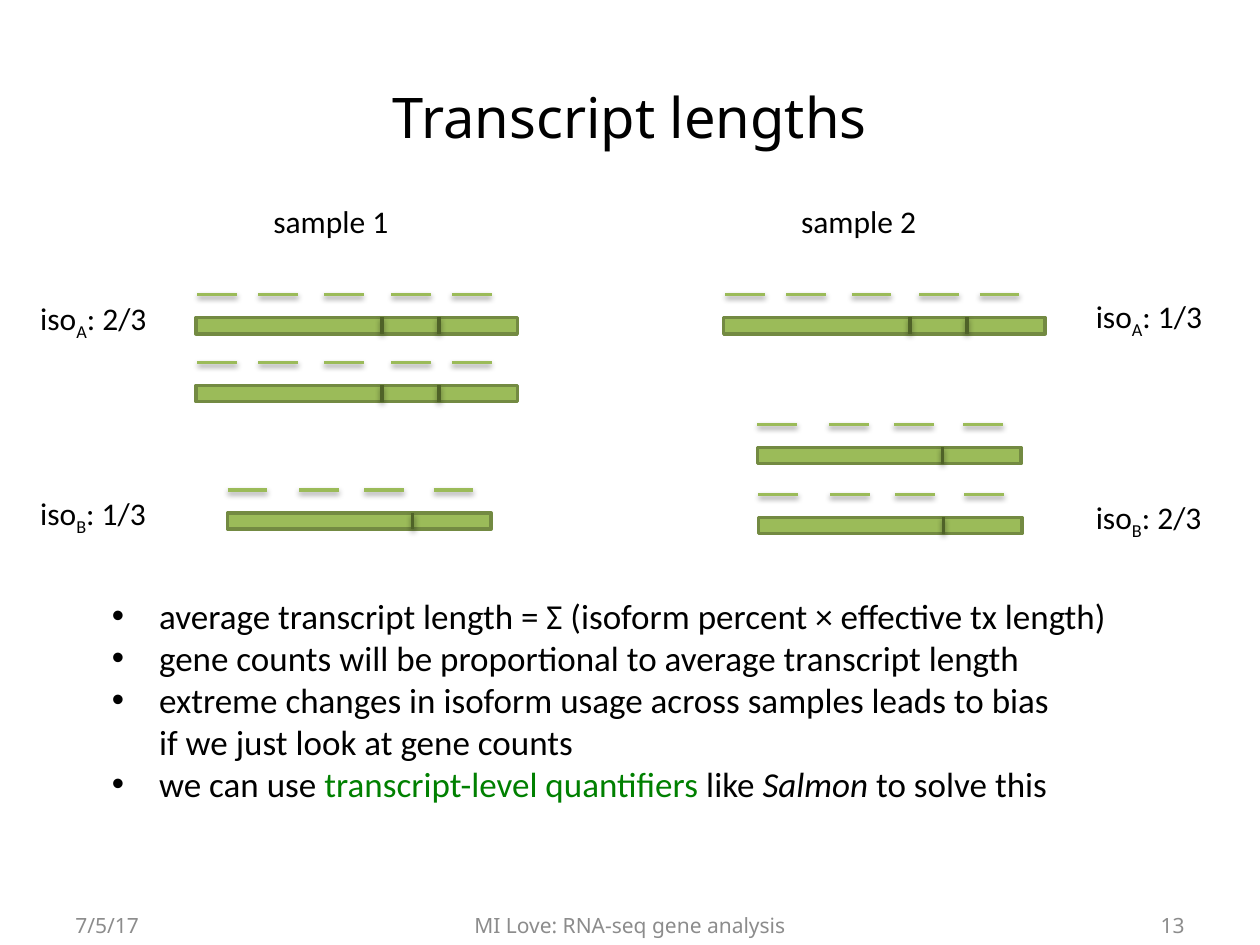
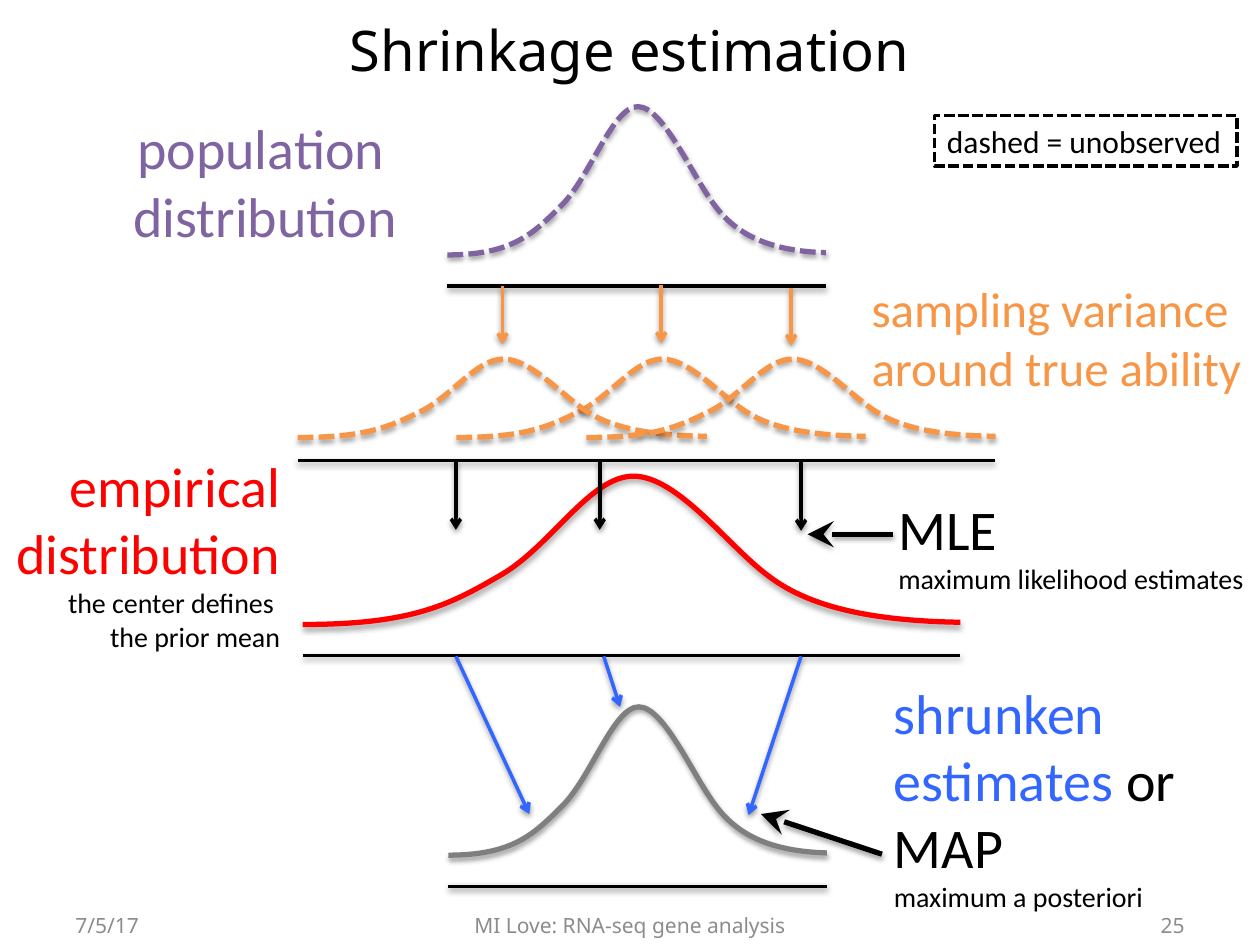
import copy

import pptx
import pptx.dml.color
import pptx.enum.dml
import pptx.enum.shapes
import pptx.enum.text
import pptx.oxml.ns
import pptx.util
from lxml import etree

Cm = pptx.util.Cm
Pt = pptx.util.Pt
RGBColor = pptx.dml.color.RGBColor
ALIGN = pptx.enum.text.PP_ALIGN
ANCHOR = pptx.enum.text.MSO_ANCHOR
AUTO_SIZE = pptx.enum.text.MSO_AUTO_SIZE
DASHED = pptx.enum.dml.MSO_LINE.SQUARE_DOT
qn = pptx.oxml.ns.qn

BLACK = RGBColor(0x00, 0x00, 0x00)
WHITE = RGBColor(0xFF, 0xFF, 0xFF)
GREY = RGBColor(0x8C, 0x8C, 0x8C)
CURVE_GREY = RGBColor(0x7F, 0x7F, 0x7F)
EXON_GREEN = RGBColor(0x9B, 0xBB, 0x59)
EXON_EDGE = RGBColor(0x73, 0x8A, 0x42)
JUNCTION_GREEN = RGBColor(0x4F, 0x62, 0x28)
TEXT_GREEN = RGBColor(0x00, 0x80, 0x00)
PURPLE = RGBColor(0x80, 0x64, 0xA2)
ORANGE = RGBColor(0xF7, 0x96, 0x46)
RED = RGBColor(0xFF, 0x00, 0x00)
BLUE = RGBColor(0x33, 0x66, 0xFF)

TITLE_FORMAT = {"name": "Noto Sans", "size": Pt(32), "rgb": BLACK}
FOOTER_FORMAT = {"name": "Noto Sans", "size": Pt(12), "rgb": GREY}
LABEL_FORMAT = {"name": "Calibri", "size": Pt(18), "rgb": BLACK}
LIST_FORMAT = LABEL_FORMAT | {"size": Pt(20)}
HEADING_FORMAT = LABEL_FORMAT | {"size": Pt(32)}
SMALL = {"size": Pt(16), "rgb": BLACK}

# Isoforms in cm: bar width, exon junctions and left ends of the reads
ISOFORM_A = (6.48, (3.75, 4.9), (0.03, 1.26, 2.58, 3.94, 5.16))
ISOFORM_B = (5.31, (3.73,), (0, 1.44, 2.75, 4.15))
BAR_HEIGHT, READ_LENGTH, READ_GAP = 0.33, 0.8, 0.46

# Bezier control points of a bell curve, in percent of its box
BELL = [(0, 100), (17, 100), (22.6, 86), (30.2, 66.5), (37.8, 47), (43.7, 0),
        (50.3, 0), (57, 0), (64.6, 46.5), (70.6, 66.5), (76.5, 87),
        (85.6, 97.5), (100, 98.5)]
AXIS_GAP = 0.63


def set_format(font, values):
    for name, value in values.items():
        if name == "rgb":
            font.color.rgb = value
        else:
            setattr(font, name, value)


def write_run(paragraph, text, values):
    """Write text in one format; a newline becomes a line break of that format."""
    values = dict(values)
    baseline = values.pop("baseline", None)
    for index, line in enumerate(text.split("\n")):
        if index:
            paragraph.add_line_break()
            line_break = paragraph._p.findall(qn("a:br"))[-1]
            line_break.append(copy.deepcopy(run.font._element))
        if line:
            run = paragraph.add_run()
            run.text = line
            set_format(run.font, values)
            if baseline:
                run.font._element.set("baseline", str(baseline))


def write_text(text_frame, paragraphs, values, alignment=None):
    """Fill a frame; a paragraph is a list of (text, format changes) runs."""
    for index, runs in enumerate(paragraphs):
        paragraph = text_frame.paragraphs[0] if index == 0 else text_frame.add_paragraph()
        paragraph.alignment = alignment
        paragraph.space_before = Pt(0)
        for text, changes in runs:
            write_run(paragraph, text, values | changes)


def add_label(slide, box, paragraphs, values=LABEL_FORMAT, alignment=None, wrap=False):
    label = slide.shapes.add_textbox(*map(Cm, box))
    label.text_frame.word_wrap = wrap
    label.text_frame.auto_size = AUTO_SIZE.SHAPE_TO_FIT_TEXT
    write_text(label.text_frame, paragraphs, values, alignment)
    return label


def add_shadow(shape):
    effects = etree.SubElement(shape.element.spPr, qn("a:effectLst"))
    shadow = etree.SubElement(effects, qn("a:outerShdw"), blurRad="40000",
                              dist="20000", dir="5400000", rotWithShape="0")
    color = etree.SubElement(shadow, qn("a:srgbClr"), val="000000")
    etree.SubElement(color, qn("a:alpha"), val="38000")


def format_line(line, color, width, dash=None):
    line.color.rgb = color
    line.width = Pt(width)
    if dash:
        line.dash_style = dash


def add_line(slide, start, end, color=BLACK, width=2, arrow=None, arrow_size="med"):
    connector = slide.shapes.add_connector(
        pptx.enum.shapes.MSO_CONNECTOR.STRAIGHT, *map(Cm, (*start, *end)))
    format_line(connector.line, color, width)
    if arrow:
        etree.SubElement(connector.element.spPr.find(qn("a:ln")), qn("a:tailEnd"),
                         type=arrow, w=arrow_size, len=arrow_size)
    add_shadow(connector)


def place(shape, box):
    for name, value in zip(("left", "top", "width", "height"), box):
        setattr(shape, name, Cm(value))


def add_page(presentation, layout_index, title, title_box, number):
    """Add a slide with its title, date, footer and page number."""
    slide = presentation.slides.add_slide(presentation.slide_layouts[layout_index])
    place(slide.shapes.title, title_box)
    slide.shapes.title.text_frame.vertical_anchor = ANCHOR.MIDDLE
    write_text(slide.shapes.title.text_frame, [[(title, {})]], TITLE_FORMAT, ALIGN.CENTER)
    for left, width, text, alignment in (
            (1.27, 5.93, "7/5/17", ALIGN.LEFT),
            (8.68, 8.04, "MI Love: RNA-seq gene analysis", ALIGN.CENTER),
            (18.2, 5.93, number, ALIGN.RIGHT)):
        footer = add_label(slide, (left, 18.14, width, 1.01), [[(text, {})]],
                           FOOTER_FORMAT, alignment, wrap=True)
        footer.text_frame.auto_size = AUTO_SIZE.NONE
        footer.text_frame.vertical_anchor = ANCHOR.MIDDLE
    return slide


def draw_isoform(slide, left, top, isoform):
    """Draw a transcript bar with its junctions and the reads above it."""
    width, junctions, reads = isoform
    bar = slide.shapes.add_shape(pptx.enum.shapes.MSO_SHAPE.RECTANGLE,
                                 *map(Cm, (left, top, width, BAR_HEIGHT)))
    bar.shadow.inherit = False
    bar.fill.solid()
    bar.fill.fore_color.rgb = EXON_GREEN
    format_line(bar.line, EXON_EDGE, 2)
    for offset in reads:
        start = left + offset
        add_line(slide, (start, top - READ_GAP), (start + READ_LENGTH, top - READ_GAP),
                 EXON_GREEN)
    for offset in junctions:
        add_line(slide, (left + offset, top), (left + offset, top + BAR_HEIGHT),
                 JUNCTION_GREEN)


def draw_sample(slide, left, name, a_tops, b_places, label_left, shares):
    """Draw one sample; shares holds (isoform letter, share, label top, width)."""
    add_label(slide, (left + 1.31, 3.94, 2.84, 1.02), [[(name, {})]])
    for top in a_tops:
        draw_isoform(slide, left, top, ISOFORM_A)
    for offset, top in b_places:
        draw_isoform(slide, left + offset, top, ISOFORM_B)
    for letter, share, top, width in shares:
        add_label(slide, (label_left, top, width, 1.02),
                  [[("iso", {}), (letter, {"baseline": -25000}), (f": {share}", {})]],
                  wrap=letter == "A")


def build_lengths_slide(presentation):
    slide = add_page(presentation, 1, "Transcript lengths", (1.27, 0.76, 22.86, 3.18), "13")
    draw_sample(slide, 3.95, "sample 1", (6.4, 7.77), ((0.64, 10.34),), 0.56,
                (("A", "2/3", 5.9, 3.1), ("B", "1/3", 9.83, 2.7)))
    draw_sample(slide, 14.59, "sample 2", (6.4,), ((0.68, 9.02), (0.7, 10.43)), 21.84,
                (("A", "1/3", 5.87, 3.1), ("B", "2/3", 9.91, 2.7)))
    body = slide.placeholders[1]
    place(body, (2, 11.86, 21.03, 4.52))
    body.text_frame.word_wrap = False
    body.text_frame.auto_size = AUTO_SIZE.SHAPE_TO_FIT_TEXT
    write_text(body.text_frame, [
        [("average transcript length = Σ (isoform percent × effective tx length)", {})],
        [("gene counts will be proportional to average transcript length", {})],
        [("extreme changes in isoform usage across samples leads to bias \n"
          "if we just look at gene counts", {})],
        [("we can use ", {}), ("transcript-level quantifiers ", {"rgb": TEXT_GREEN}),
         ("like ", {}), ("Salmon", {"italic": True}), (" to solve this", {})],
    ], LIST_FORMAT)


def round_corners(curve):
    """Turn each three line segments of a freeform into one Bezier segment."""
    segments = list(curve.element.iter(qn("a:lnTo")))
    for first in range(0, len(segments), 3):
        bezier = etree.Element(qn("a:cubicBezTo"))
        segments[first].addprevious(bezier)
        for segment in segments[first:first + 3]:
            bezier.append(segment[0])
            segment.getparent().remove(segment)


def draw_bell(slide, box, color, dash=None, axis_width=None):
    left, top, width, height = box
    points = [(Cm(left + x * width / 100), Cm(top + y * height / 100)) for x, y in BELL]
    builder = slide.shapes.build_freeform(*points[0])
    builder.add_line_segments(points[1:], close=False)
    curve = builder.convert_to_shape()
    round_corners(curve)
    curve.fill.background()
    format_line(curve.line, color, 3, dash)
    add_shadow(curve)
    if axis_width:
        bottom = top + height + AXIS_GAP
        add_line(slide, (left, bottom), (left + width, bottom), width=axis_width)


def draw_population(slide):
    draw_bell(slide, (9.02, 2.15, 7.63, 2.99), PURPLE, DASHED, axis_width=2)
    add_label(slide, (2.37, 2.17, 5.89, 2.99),
              [[("population ", {})], [("distribution", {})]],
              HEADING_FORMAT | {"rgb": PURPLE}, ALIGN.RIGHT)


def draw_sampling(slide):
    for x, top in ((10.13, 5.77), (13.33, 5.75), (15.95, 5.8)):
        add_line(slide, (x, top), (x, top + 1.17), ORANGE, arrow="arrow")
    add_line(slide, (6, 9.29), (20.06, 9.29), width=1.5)
    for left in (9.2, 6, 11.82):
        draw_bell(slide, (left, 7.24, 8.25, 1.58), ORANGE, DASHED)
    add_label(slide, (17.32, 5.49, 8.08, 2.64),
              [[("sampling variance", {})], [("around true ability", {})]],
              LABEL_FORMAT | {"size": Pt(28), "rgb": ORANGE})


def draw_empirical(slide):
    draw_bell(slide, (6.1, 9.6, 13.26, 2.99), RED, axis_width=1.5)
    for x, top in ((9.19, 9.28), (12.09, 9.28), (16.15, 9.3)):
        add_line(slide, (x, top), (x, top + 1.4), arrow="arrow")
    add_label(slide, (0, 8.97, 5.9, 4.37),
              [[("empirical", {})],
               [("distribution\n", {}), ("the center defines \nthe prior mean", SMALL)]],
              HEADING_FORMAT | {"rgb": RED}, ALIGN.RIGHT, wrap=True)
    add_label(slide, (17.86, 9.84, 7.59, 2.31),
              [[("MLE\n", {}), ("maximum likelihood estimates", SMALL)]], HEADING_FORMAT)
    add_line(slide, (18.01, 10.77), (16.28, 10.77), width=3, arrow="stealth",
             arrow_size="lg")


def draw_shrunken(slide):
    draw_bell(slide, (9.04, 14.25, 7.63, 2.99), CURVE_GREY, axis_width=2)
    for start_x, end in ((9.19, (10.67, 16.41)), (12.17, (12.5, 14.25)),
                         (16.15, (15.09, 16.43))):
        add_line(slide, (start_x, 13.23), end, BLUE, arrow="arrow")
    add_label(slide, (17.77, 13.55, 6.38, 5.05),
              [[("shrunken", {})], [("estimates", {}), (" or", {"rgb": BLACK})],
               [("MAP\n", {"rgb": BLACK}), ("maximum a posteriori", SMALL)]],
              HEADING_FORMAT | {"rgb": BLUE}, wrap=True)
    add_line(slide, (17.78, 17.22), (15.34, 16.41), width=3, arrow="stealth",
             arrow_size="lg")


def draw_legend(slide):
    legend = add_label(slide, (18.84, 2.33, 6.1, 1.02), [[("dashed = unobserved", {})]])
    legend.fill.solid()
    legend.fill.fore_color.rgb = WHITE
    format_line(legend.line, BLACK, 2, DASHED)


def build_shrinkage_slide(presentation):
    slide = add_page(presentation, 5, "Shrinkage estimation", (1.27, 0.06, 22.86, 1.85), "25")
    for draw_region in (draw_population, draw_sampling, draw_empirical, draw_shrunken,
                        draw_legend):
        draw_region(slide)


def main():
    presentation = pptx.Presentation()
    presentation.slide_width = Cm(25.4)
    presentation.slide_height = Cm(19.05)
    build_lengths_slide(presentation)
    build_shrinkage_slide(presentation)
    presentation.save("out.pptx")


if __name__ == "__main__":
    main()
